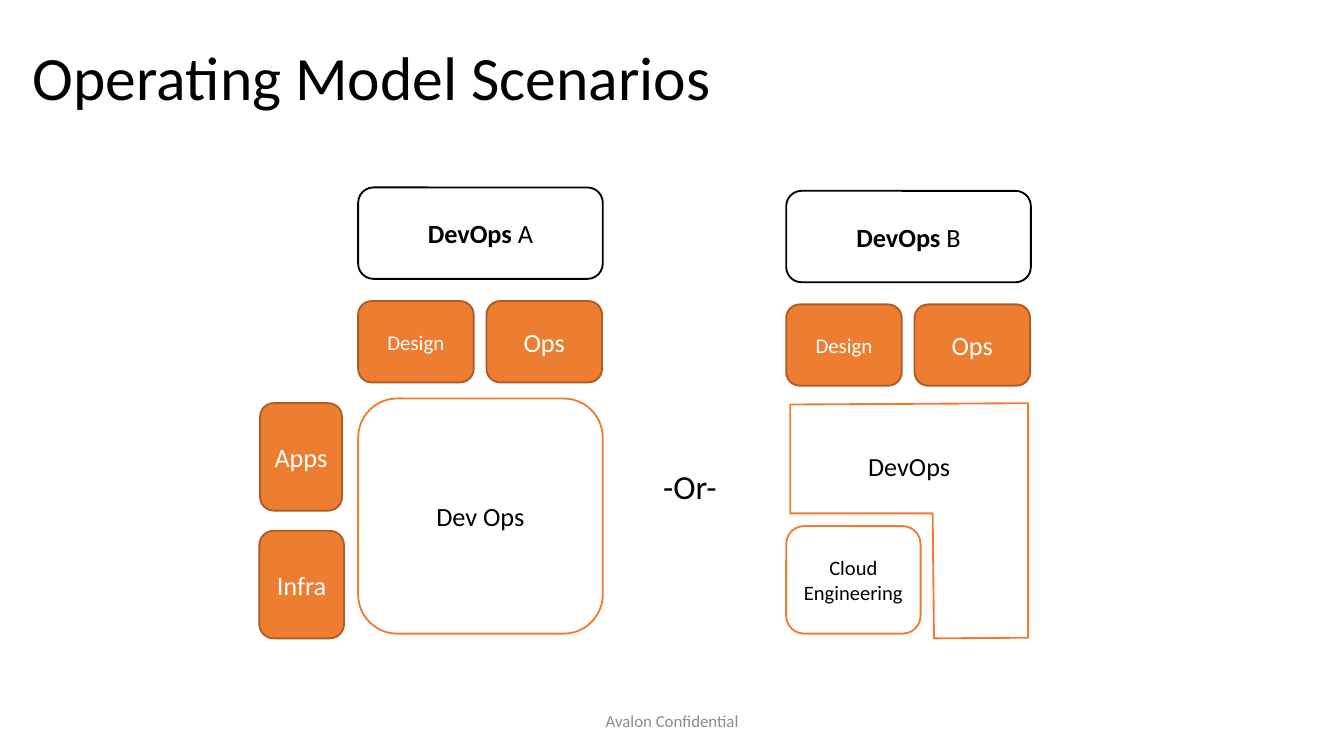
from dataclasses import dataclass

from pptx import Presentation
from pptx import util as u
from pptx.dml.color import RGBColor
from pptx.enum import shapes, text

PX = 4572  # EMU per px, 200 px to the inch
FONT = "Calibri"
WHITE = RGBColor(0xFF, 0xFF, 0xFF)
BLACK = RGBColor(0x00, 0x00, 0x00)
GREY = RGBColor(0x8C, 0x8C, 0x8C)
ORANGE = RGBColor(0xED, 0x7D, 0x31)
RUST = RGBColor(0xAF, 0x5C, 0x24)


@dataclass(frozen=True)
class Look:
    fill: RGBColor
    line: RGBColor
    ink: RGBColor


HEADING = Look(WHITE, BLACK, BLACK)
ROLE = Look(ORANGE, RUST, WHITE)
TEAM = Look(WHITE, ORANGE, BLACK)


@dataclass(frozen=True)
class Card:
    label: str
    left: int
    top: int
    width: int
    height: int
    look: Look
    size: float = 14.1
    bold_label: str = ""


def set_font(paragraph, size: float, color: RGBColor, align) -> None:
    paragraph.alignment = align
    paragraph.font.name = FONT
    paragraph.font.size = u.Pt(size)
    paragraph.font.color.rgb = color


def apply_look(shape, look: Look) -> None:
    shape.shadow.inherit = False
    shape.fill.solid()
    shape.fill.fore_color.rgb = look.fill
    shape.line.color.rgb = look.line
    shape.line.width = u.Pt(1)


def draw_card(slide, card: Card) -> None:
    box = slide.shapes.add_shape(
        shapes.MSO_SHAPE.ROUNDED_RECTANGLE,
        *(v * PX for v in (card.left, card.top, card.width, card.height)))
    apply_look(box, card.look)
    frame = box.text_frame
    frame.word_wrap = True
    frame.vertical_anchor = text.MSO_ANCHOR.MIDDLE
    frame.margin_left = frame.margin_right = 14 * PX
    frame.margin_top = frame.margin_bottom = 8 * PX
    paragraph = frame.paragraphs[0]
    if card.bold_label:
        name = paragraph.add_run()
        name.text = card.bold_label
        name.font.bold = True
    paragraph.add_run().text = card.label
    set_font(paragraph, card.size, card.look.ink, text.PP_ALIGN.CENTER)


def draw_note(slide, words: str, left: int, top: int, width: int, height: int,
              size: float, color: RGBColor, align, anchor) -> None:
    box = slide.shapes.add_textbox(left * PX, top * PX, width * PX, height * PX)
    frame = box.text_frame
    frame.word_wrap = True
    frame.vertical_anchor = anchor
    frame.text = words
    set_font(frame.paragraphs[0], size, color, align)


def draw_scenario_head(slide, letter: str, left: int, top: int) -> None:
    """Heading card with the Design and Ops roles beneath it."""
    roles_top = top + 169
    draw_card(slide, Card(f" {letter}", left, top, 364, 136, HEADING, bold_label="DevOps"))
    draw_card(slide, Card("Design", left, roles_top, 172, 121, ROLE, 11.2))
    draw_card(slide, Card("Ops", left + 191, roles_top, 172, 121, ROLE))


def draw_title(slide) -> None:
    title = slide.shapes.title
    title.left, title.top, title.width, title.height = (
        v * PX for v in (29, 10, 1724, 219))
    frame = title.text_frame
    frame.text = "Operating Model Scenarios"
    frame.auto_size = text.MSO_AUTO_SIZE.NONE
    frame.vertical_anchor = text.MSO_ANCHOR.MIDDLE
    heading = frame.paragraphs[0]
    heading.line_spacing = 0.9
    set_font(heading, 33, BLACK, text.PP_ALIGN.LEFT)


def draw_devops_area(slide) -> None:
    """L-shaped team that wraps around Cloud Engineering."""
    outline = slide.shapes.build_freeform(1176, 602, scale=PX)
    outline.add_line_segments(
        [(1530, 600), (1530, 949), (1390, 950), (1388, 764), (1176, 764)], close=True)
    area = outline.convert_to_shape()
    apply_look(area, TEAM)
    frame = area.text_frame
    frame.word_wrap = True
    frame.vertical_anchor = text.MSO_ANCHOR.TOP
    frame.margin_top = 70 * PX
    frame.text = "DevOps"
    set_font(frame.paragraphs[0], 14, BLACK, text.PP_ALIGN.CENTER)


def main() -> None:
    deck = Presentation()
    deck.slide_width, deck.slide_height = 2000 * PX, 1125 * PX
    slide = deck.slides.add_slide(deck.slide_layouts[5])
    draw_title(slide)

    # Scenario A: one team across apps and infrastructure
    draw_scenario_head(slide, "A", 533, 279)
    for card in (Card("Apps", 387, 600, 122, 160, ROLE),
                 Card("Infra", 386, 790, 126, 160, ROLE),
                 Card("Dev Ops", 533, 593, 364, 350, TEAM)):
        draw_card(slide, card)

    # Scenario B: separate cloud engineering
    draw_scenario_head(slide, "B", 1170, 284)
    draw_card(slide, Card("Cloud Engineering", 1170, 783, 200, 160, TEAM, 11))
    draw_devops_area(slide)

    # Divider and footer
    draw_note(slide, "-Or-", 967, 684, 150, 80, 18, BLACK,
              text.PP_ALIGN.LEFT, text.MSO_ANCHOR.TOP)
    draw_note(slide, "Avalon Confidential", 662, 1043, 676, 60, 9, GREY,
              text.PP_ALIGN.CENTER, text.MSO_ANCHOR.MIDDLE)

    deck.save("out.pptx")


if __name__ == "__main__":
    main()
